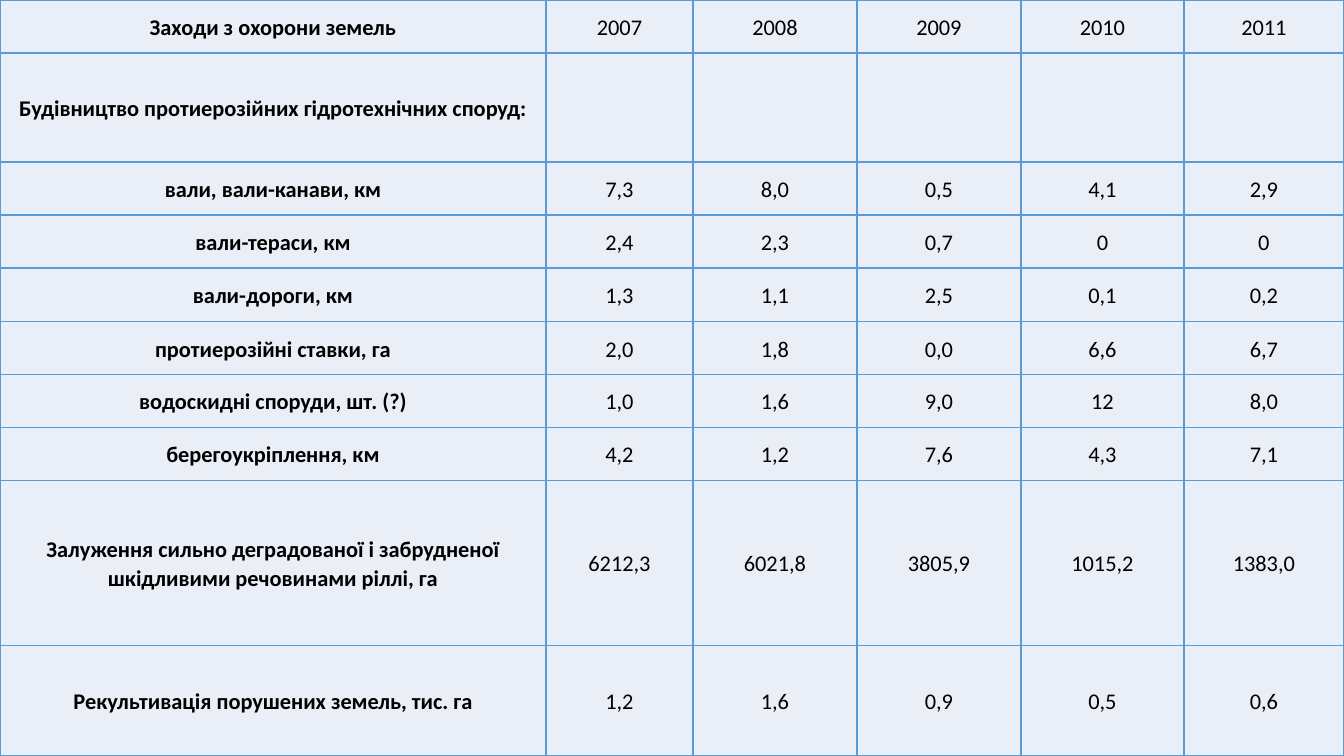
import pptx
import pptx.dml.color
import pptx.enum.text
import pptx.oxml.ns
import pptx.util
from lxml import etree

PX = 914400 / 100.8
WIDTH, HEIGHT = 1344, 756

BLACK = pptx.dml.color.RGBColor(0x00, 0x00, 0x00)
PALE_BLUE = pptx.dml.color.RGBColor(0xEA, 0xEF, 0xF7)
BORDER_BLUE = pptx.dml.color.RGBColor(0x5B, 0x9B, 0xD5)

COL_WIDTHS = [546, 147, 164, 164, 163, 160]
ROW_HEIGHTS = [53, 109, 53, 53, 54, 53, 53, 53, 165, 110]

MEASURES = [
    ("Заходи з охорони земель", "2007", "2008", "2009", "2010", "2011"),
    ("Будівництво протиерозійних гідротехнічних споруд:", "", "", "", "", ""),
    ("вали, вали-канави, км", "7,3", "8,0", "0,5", "4,1", "2,9"),
    ("вали-тераси, км", "2,4", "2,3", "0,7", "0", "0"),
    ("вали-дороги, км", "1,3", "1,1", "2,5", "0,1", "0,2"),
    ("протиерозійні ставки, га", "2,0", "1,8", "0,0", "6,6", "6,7"),
    ("водоскидні споруди, шт. (?)", "1,0", "1,6", "9,0", "12", "8,0"),
    ("берегоукріплення, км", "4,2", "1,2", "7,6", "4,3", "7,1"),
    ("Залуження сильно деградованої і забрудненої шкідливими речовинами ріллі, га",
     "6212,3", "6021,8", "3805,9", "1015,2", "1383,0"),
    ("Рекультивація порушених земель, тис. га", "1,2", "1,6", "0,9", "0,5", "0,6"),
]


def px(n):
    return pptx.util.Emu(round(n * PX))


def set_borders(cell):
    qn = pptx.oxml.ns.qn
    tc_pr = cell._tc.get_or_add_tcPr()
    for side in ("a:lnL", "a:lnR", "a:lnT", "a:lnB"):
        ln = etree.SubElement(tc_pr, qn(side), w=str(pptx.util.Pt(1)))
        fill = etree.SubElement(ln, qn("a:solidFill"))
        etree.SubElement(fill, qn("a:srgbClr"), val=str(BORDER_BLUE))


def fill_cell(cell, text, bold):
    # Borders go before the fill in the cell properties
    set_borders(cell)
    cell.fill.solid()
    cell.fill.fore_color.rgb = PALE_BLUE
    cell.margin_left = cell.margin_right = px(7)
    cell.margin_top = cell.margin_bottom = 0
    cell.vertical_anchor = pptx.enum.text.MSO_ANCHOR.MIDDLE
    cell.text = text
    p = cell.text_frame.paragraphs[0]
    p.alignment = pptx.enum.text.PP_ALIGN.CENTER
    p.line_spacing = 1.07
    p.font.name = "Calibri"
    p.font.size = pptx.util.Pt(16)
    p.font.bold = bold
    p.font.color.rgb = BLACK


def add_measures_table(s):
    table = s.shapes.add_table(len(ROW_HEIGHTS), len(COL_WIDTHS),
                               0, 0, px(WIDTH), px(HEIGHT)).table
    table.first_row = False
    table.horz_banding = False
    for column, width in zip(table.columns, COL_WIDTHS):
        column.width = px(width)
    for row, height, texts in zip(table.rows, ROW_HEIGHTS, MEASURES):
        row.height = px(height)
        for i, (cell, text) in enumerate(zip(row.cells, texts)):
            fill_cell(cell, text, bold=i == 0)


def main():
    prs = pptx.Presentation()
    prs.slide_width, prs.slide_height = px(WIDTH), px(HEIGHT)
    s = prs.slides.add_slide(prs.slide_layouts[6])

    # Land protection measures by year, over the whole slide
    add_measures_table(s)

    prs.save("out.pptx")


if __name__ == "__main__":
    main()
